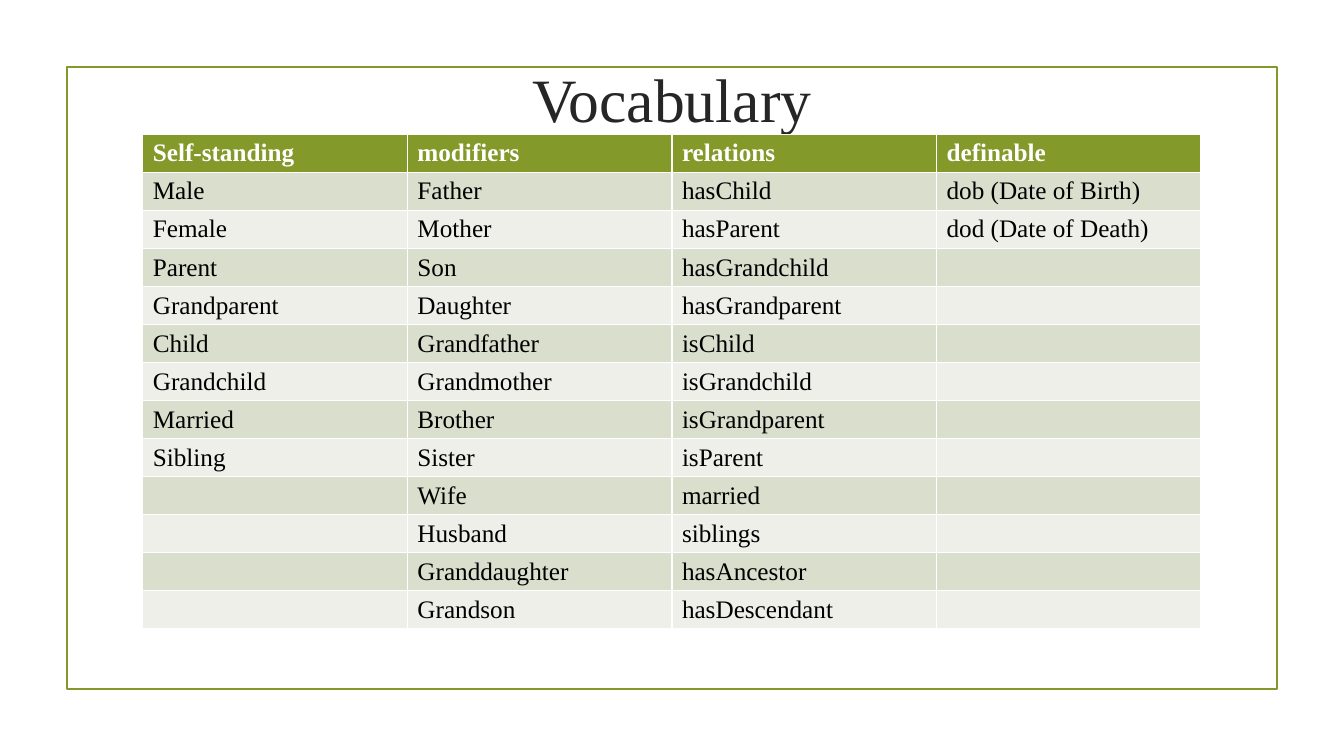
import itertools

import pptx
import pptx.dml.color
import pptx.enum.shapes
import pptx.enum.text
import pptx.util

OLIVE = pptx.dml.color.RGBColor(0x83, 0x99, 0x2A)
SAGE = pptx.dml.color.RGBColor(0xD9, 0xDE, 0xCD)
PALE = pptx.dml.color.RGBColor(0xED, 0xEF, 0xE8)
WHITE = pptx.dml.color.RGBColor(0xFF, 0xFF, 0xFF)
BLACK = pptx.dml.color.RGBColor(0x00, 0x00, 0x00)
CHARCOAL = pptx.dml.color.RGBColor(0x26, 0x26, 0x26)
FONT = "Times New Roman"

GRID_COLUMNS, GRID_ROWS = 160, 90
FRAME_BOX = (8, 8, 144, 74)
TITLE_BOX = (17, 3.1, 126, 17.2)
TABLE_BOX = (17, 16, 126, 58.8)

VOCABULARY = {
    "Self-standing": [
        "Male", "Female", "Parent", "Grandparent", "Child", "Grandchild",
        "Married", "Sibling",
    ],
    "modifiers": [
        "Father", "Mother", "Son", "Daughter", "Grandfather", "Grandmother",
        "Brother", "Sister", "Wife", "Husband", "Granddaughter", "Grandson",
    ],
    "relations": [
        "hasChild", "hasParent", "hasGrandchild", "hasGrandparent", "isChild",
        "isGrandchild", "isGrandparent", "isParent", "married", "siblings",
        "hasAncestor", "hasDescendant",
    ],
    "definable": ["dob (Date of Birth)", "dod (Date of Death)"],
}


def grid_box(presentation, box):
    column = presentation.slide_width / GRID_COLUMNS
    row = presentation.slide_height / GRID_ROWS
    left, top, width, height = box
    return (round(left * column), round(top * row),
            round(width * column), round(height * row))


def set_font(paragraph, size, color, bold=False):
    font = paragraph.font
    font.name = FONT
    font.size = pptx.util.Pt(size)
    font.bold = bold
    font.color.rgb = color


def add_frame(slide, box):
    frame = slide.shapes.add_shape(
        pptx.enum.shapes.MSO_SHAPE.RECTANGLE, *box)
    frame.shadow.inherit = False
    frame.fill.background()
    frame.line.color.rgb = OLIVE
    frame.line.width = pptx.util.Pt(1.25)


def place_title(slide, box, text):
    title = slide.shapes.title
    title.left, title.top, title.width, title.height = box
    title.text_frame.text = text
    title.text_frame.vertical_anchor = pptx.enum.text.MSO_ANCHOR.MIDDLE
    paragraph = title.text_frame.paragraphs[0]
    paragraph.alignment = pptx.enum.text.PP_ALIGN.CENTER
    set_font(paragraph, 44, CHARCOAL)


def add_vocabulary_table(slide, box, vocabulary):
    body = itertools.zip_longest(*vocabulary.values(), fillvalue="")
    rows = [tuple(vocabulary), *body]
    table = slide.shapes.add_table(len(rows), len(vocabulary), *box).table
    for row_index, words in enumerate(rows):
        is_header = row_index == 0
        fill = OLIVE if is_header else SAGE if row_index % 2 else PALE
        for column_index, word in enumerate(words):
            cell = table.cell(row_index, column_index)
            cell.text = word
            cell.fill.solid()
            cell.fill.fore_color.rgb = fill
            set_font(cell.text_frame.paragraphs[0], 18,
                     WHITE if is_header else BLACK, is_header)


def build_vocabulary_slide(presentation):
    slide = presentation.slides.add_slide(presentation.slide_layouts[5])
    add_frame(slide, grid_box(presentation, FRAME_BOX))
    place_title(slide, grid_box(presentation, TITLE_BOX), "Vocabulary")
    add_vocabulary_table(slide, grid_box(presentation, TABLE_BOX), VOCABULARY)


def main():
    presentation = pptx.Presentation()
    presentation.slide_width = pptx.util.Inches(13.33)
    presentation.slide_height = pptx.util.Inches(7.5)
    build_vocabulary_slide(presentation)
    presentation.save("out.pptx")


if __name__ == "__main__":
    main()
